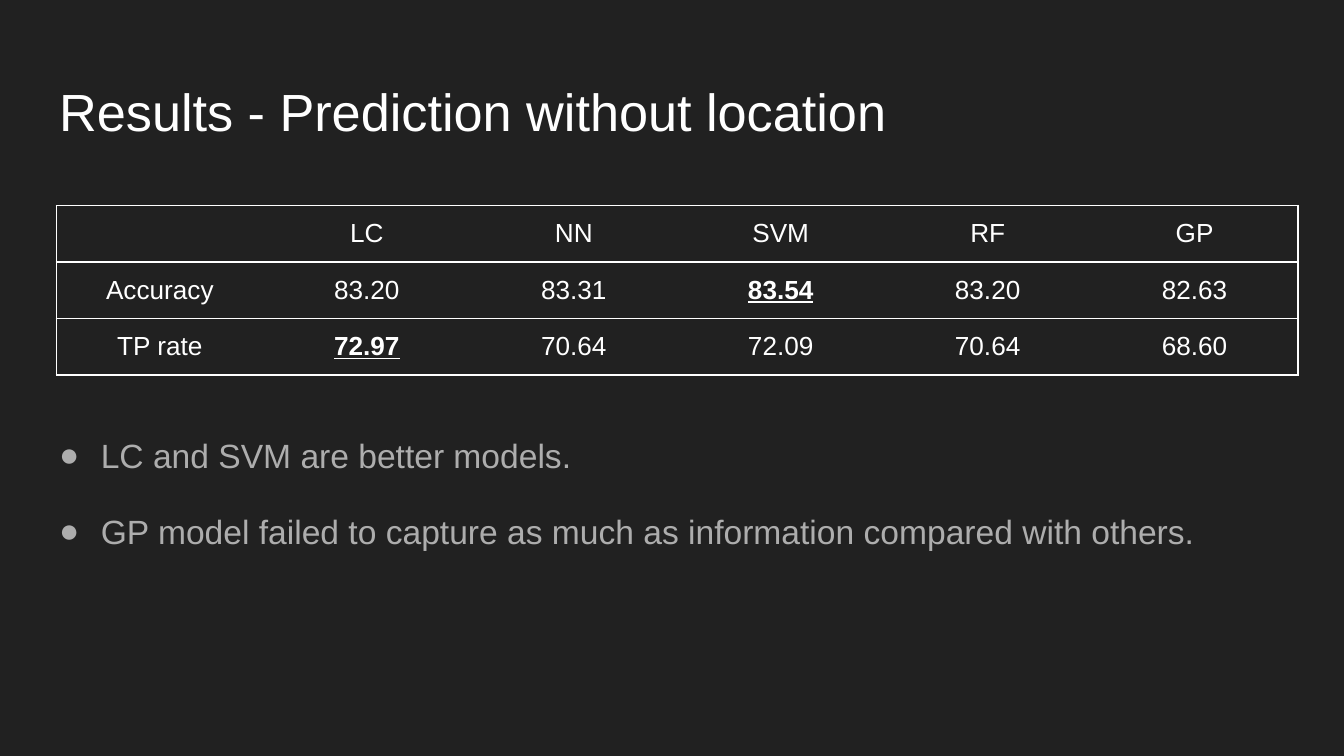
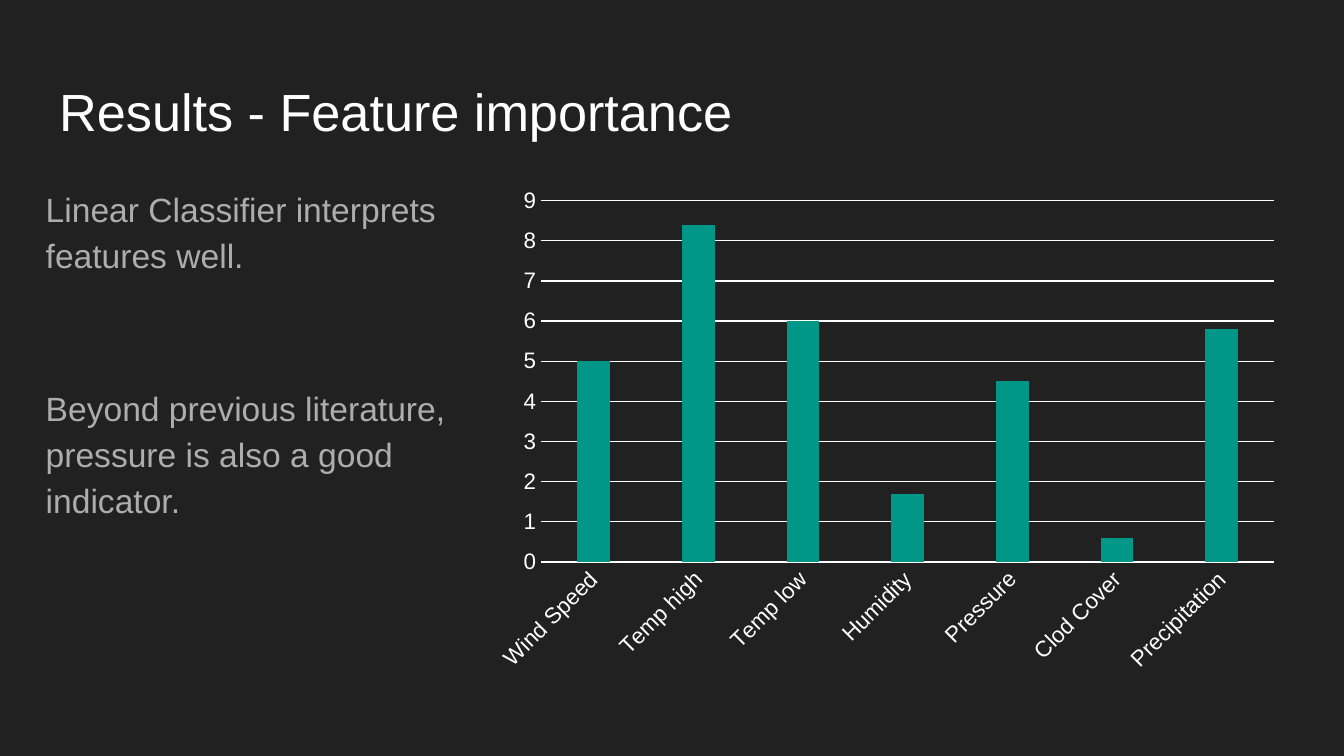
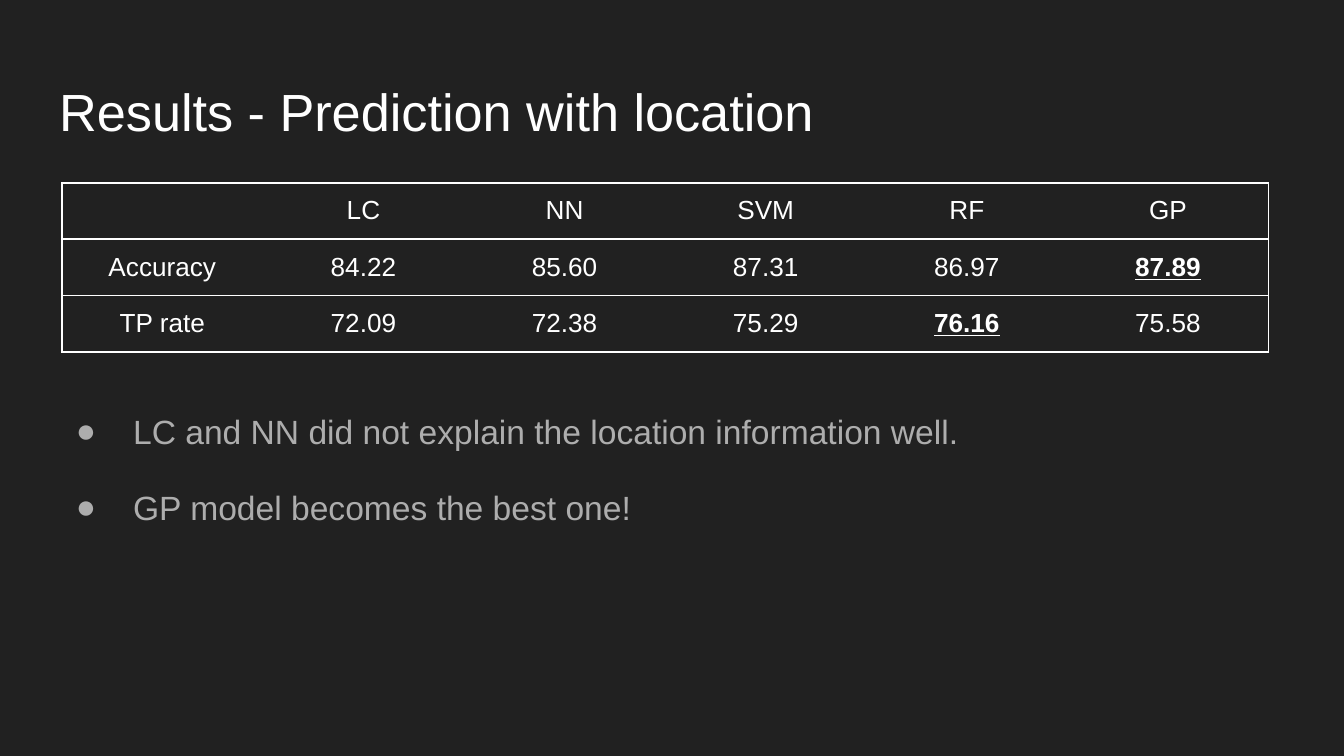
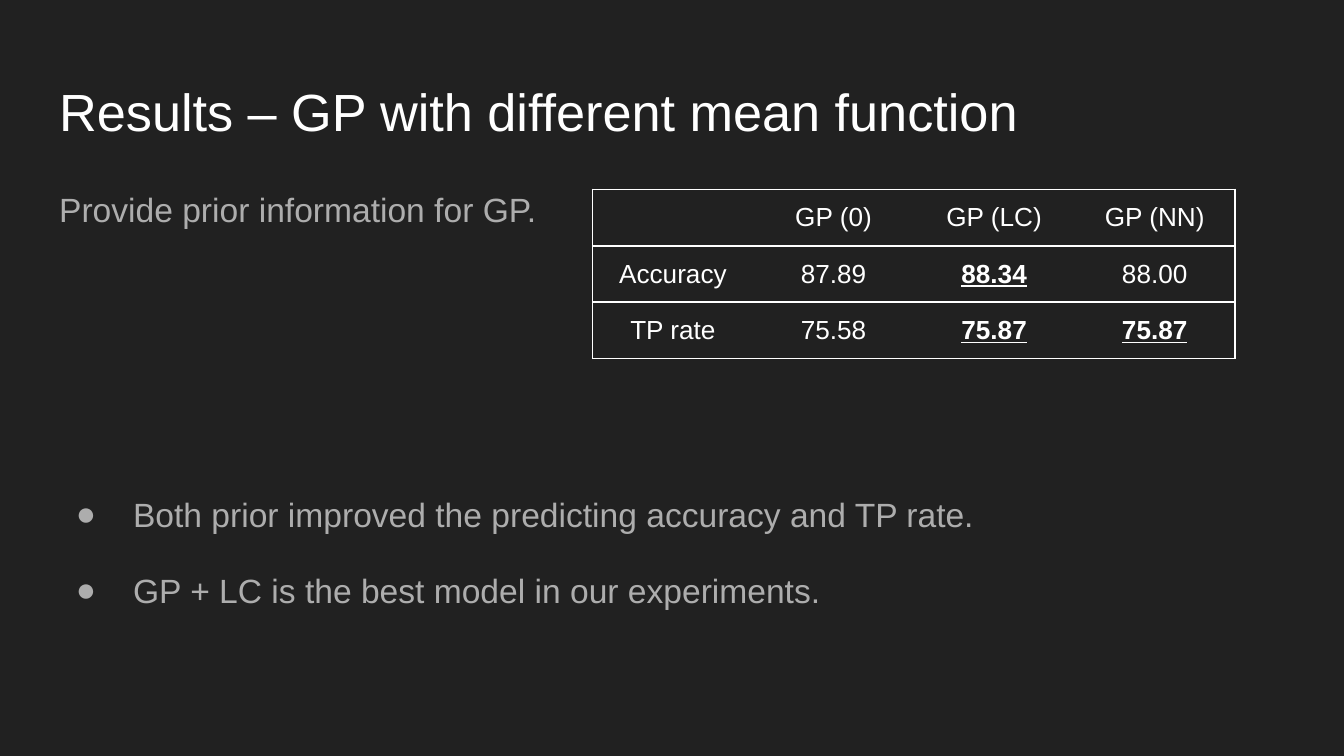
import dataclasses

import lxml.etree
import pptx
import pptx.chart.data
import pptx.dml.color
import pptx.enum.chart
import pptx.enum.text
import pptx.oxml.ns
import pptx.util


@dataclasses.dataclass(frozen=True)
class Theme:
    font: str = "Arial"
    background: str = "212121"
    bright: str = "FFFFFF"
    muted: str = "ADADAD"
    accent: str = "009688"
    title_size: float = 28
    body_size: float = 18
    small_size: float = 14
    axis_size: float = 12
    line_spacing: float = 1.15
    space_after: float = 16
    blank_line: float = 40.8
    border: float = 1
    axis_line: float = 0.75


theme = Theme()
rgb = pptx.dml.color.RGBColor.from_string
qn = pptx.oxml.ns.qn

deck = pptx.Presentation()
deck.slide_width = pptx.util.Inches(10)
deck.slide_height = pptx.util.Inches(5.625)
column = row = deck.slide_width / 100
deck.slide_master.background.fill.solid()
deck.slide_master.background.fill.fore_color.rgb = rgb(theme.background)


def style_font(font, size, color):
    font.name = theme.font
    font.size = pptx.util.Pt(size)
    font.color.rgb = rgb(color)


def fit_frame(placeholder, left, top, width, height, inset_top=1):
    placeholder.left, placeholder.width = int(left * column), int(width * column)
    placeholder.top, placeholder.height = int(top * row), int(height * row)
    frame = placeholder.text_frame
    frame.word_wrap = True
    frame.auto_size = pptx.enum.text.MSO_AUTO_SIZE.NONE
    frame.vertical_anchor = pptx.enum.text.MSO_ANCHOR.TOP
    frame.margin_left = frame.margin_right = frame.margin_bottom = int(column)
    frame.margin_top = int(inset_top * row)


models = ["", "LC", "NN", "SVM", "RF", "GP"]
flush_bullet = (3.1, 3.1)
deep_bullet = (5.5, 4.25)

topics = [
    {
        "title": "Results - Prediction without location",
        "body": (3.4, 14.4, 93.2, 37.4, 17.5),
        "points": [
            ("LC and SVM are better models.", flush_bullet, 0),
            ("GP model failed to capture as much as information compared with others.", flush_bullet, 0),
        ],
        "table": (4.2, 15.3, 92.4),
        "scores": [
            models,
            ["Accuracy", "83.20", "83.31", "83.54", "83.20", "82.63"],
            ["TP rate", "72.97", "70.64", "72.09", "70.64", "68.60"],
        ],
    },
    {
        "title": "Results - Feature importance",
        "body": (2.4, 12.6, 32.7, 37.4),
        "points": [
            ("Linear Classifier interprets features well.", None, 0),
            ("Beyond previous literature, pressure is also a good indicator.", None, 1),
        ],
        "chart": (35.9, 13.3, 60.1, 37.4),
        "importance": {
            "Wind Speed": 5, "Temp high": 8.4, "Temp low": 6, "Humidity": 1.7,
            "Pressure": 4.5, "Clod Cover": 0.6, "Precipitation": 5.8,
        },
    },
    {
        "title": "Results - Prediction with location",
        "body": (3.4, 12.6, 93.2, 37.4, 17.5),
        "points": [
            ("LC and NN did not explain the location information well.", deep_bullet, 0),
            ("GP model becomes the best one!", deep_bullet, 0),
        ],
        "table": (4.6, 13.6, 89.8),
        "scores": [
            models,
            ["Accuracy", "84.22", "85.60", "87.31", "86.97", "87.89"],
            ["TP rate", "72.09", "72.38", "75.29", "76.16", "75.58"],
        ],
    },
    {
        "title": "Results – GP with different mean function",
        "body": (3.4, 12.6, 93.2, 37.4),
        "points": [
            ("Provide prior information for GP.", None, 0),
            ("Both prior improved the predicting accuracy and TP rate.", deep_bullet, 3),
            ("GP + LC is the best model in our experiments.", deep_bullet, 0),
        ],
        "table": (44.1, 14.1, 47.8),
        "scores": [
            ["", "GP (0)", "GP (LC)", "GP (NN)"],
            ["Accuracy", "87.89", "88.34", "88.00"],
            ["TP rate", "75.58", "75.87", "75.87"],
        ],
    },
]

for topic in topics:
    slide = deck.slides.add_slide(deck.slide_layouts[1])

    heading = slide.shapes.title
    fit_frame(heading, 3.4, 4.9, 93.2, 6.3)
    heading.text_frame.text = topic["title"]
    heading.text_frame.paragraphs[0].alignment = pptx.enum.text.PP_ALIGN.LEFT
    style_font(heading.text_frame.paragraphs[0].runs[0].font, theme.title_size, theme.bright)

    findings = slide.placeholders[1]
    fit_frame(findings, *topic["body"])
    findings.text_frame.text = "\n".join(text for text, _, _ in topic["points"])
    for point, (_, bullet, blank_lines) in zip(findings.text_frame.paragraphs, topic["points"]):
        point.line_spacing = theme.line_spacing
        point.space_before = pptx.util.Pt(blank_lines * theme.blank_line)
        point.space_after = pptx.util.Pt(theme.space_after)
        style_font(point.runs[0].font, theme.body_size, theme.muted)
        margin, hanging = bullet or (0, 0)
        properties = point._p.get_or_add_pPr()
        properties.set("marL", str(int(margin * column)))
        properties.set("indent", str(-int(hanging * column)))
        if bullet:
            bullet_color = lxml.etree.SubElement(properties, qn("a:buClr"))
            lxml.etree.SubElement(bullet_color, qn("a:srgbClr"), val=theme.muted)
            lxml.etree.SubElement(properties, qn("a:buFont"), typeface=theme.font)
            lxml.etree.SubElement(properties, qn("a:buChar"), char="●")
        else:
            lxml.etree.SubElement(properties, qn("a:buNone"))

    if "table" in topic:
        scores = topic["scores"]
        left, top, width = topic["table"]
        last = len(scores[0]) - 1
        grid = slide.shapes.add_table(
            len(scores), last + 1, int(left * column), int(top * row),
            int(width * column), int(len(scores) * 4.2 * row)).table
        grid.first_row = grid.horz_banding = False
        grid._tbl.tblPr.find(qn("a:tableStyleId")).text = "{2D5ABB26-0587-4C30-8999-92F81FD0307C}"
        for line, values in enumerate(scores):
            for place, value in enumerate(values):
                cell = grid.cell(line, place)
                sides = {"L": place == 0, "R": place == last, "T": True, "B": True}
                for side in (name for name, drawn in sides.items() if drawn):
                    edge = lxml.etree.SubElement(
                        cell._tc.get_or_add_tcPr(), qn("a:ln" + side),
                        w=str(pptx.util.Pt(theme.border)))
                    edge_fill = lxml.etree.SubElement(edge, qn("a:solidFill"))
                    lxml.etree.SubElement(edge_fill, qn("a:srgbClr"), val=theme.bright)
                cell.fill.solid()
                cell.fill.fore_color.rgb = rgb(theme.background)
                if not value:
                    continue
                cell.margin_left = cell.margin_right = int(column)
                cell.margin_top = cell.margin_bottom = int(row)
                cell.text_frame.text = value
                label = cell.text_frame.paragraphs[0]
                label.alignment = pptx.enum.text.PP_ALIGN.CENTER
                font = label.runs[0].font
                style_font(font, theme.small_size, theme.bright)
                if line > 0 and place > 0 and value == max(values[1:], key=float):
                    font.bold = font.underline = True

    if "chart" in topic:
        left, top, width, height = topic["chart"]
        importance = pptx.chart.data.CategoryChartData()
        importance.categories = list(topic["importance"])
        importance.add_series("Series 1", topic["importance"].values())
        chart = slide.shapes.add_chart(
            pptx.enum.chart.XL_CHART_TYPE.COLUMN_CLUSTERED, int(left * column),
            int(top * row), int(width * column), int(height * row), importance).chart
        chart.has_legend = chart.has_title = False
        style_font(chart.font, 10, theme.bright)
        columns = chart.plots[0]
        columns.gap_width, columns.overlap = 219, -27
        columns.vary_by_categories = False
        columns.series[0].format.fill.solid()
        columns.series[0].format.fill.fore_color.rgb = rgb(theme.accent)

        features, weights = chart.category_axis, chart.value_axis
        for axis in (features, weights):
            axis.major_tick_mark = axis.minor_tick_mark = pptx.enum.chart.XL_TICK_MARK.NONE
            style_font(axis.tick_labels.font, theme.axis_size, theme.bright)
        weights.minimum_scale, weights.maximum_scale, weights.major_unit = 0, 9, 1
        weights.has_major_gridlines = True
        weights.format.line.fill.background()
        for rule in (features.format.line, weights.major_gridlines.format.line):
            rule.width = pptx.util.Pt(theme.axis_line)
            rule.color.rgb = rgb(theme.bright)
        features._element.find(qn("c:txPr")).find(qn("a:bodyPr")).set("rot", str(-45 * 60000))

deck.save("out.pptx")
